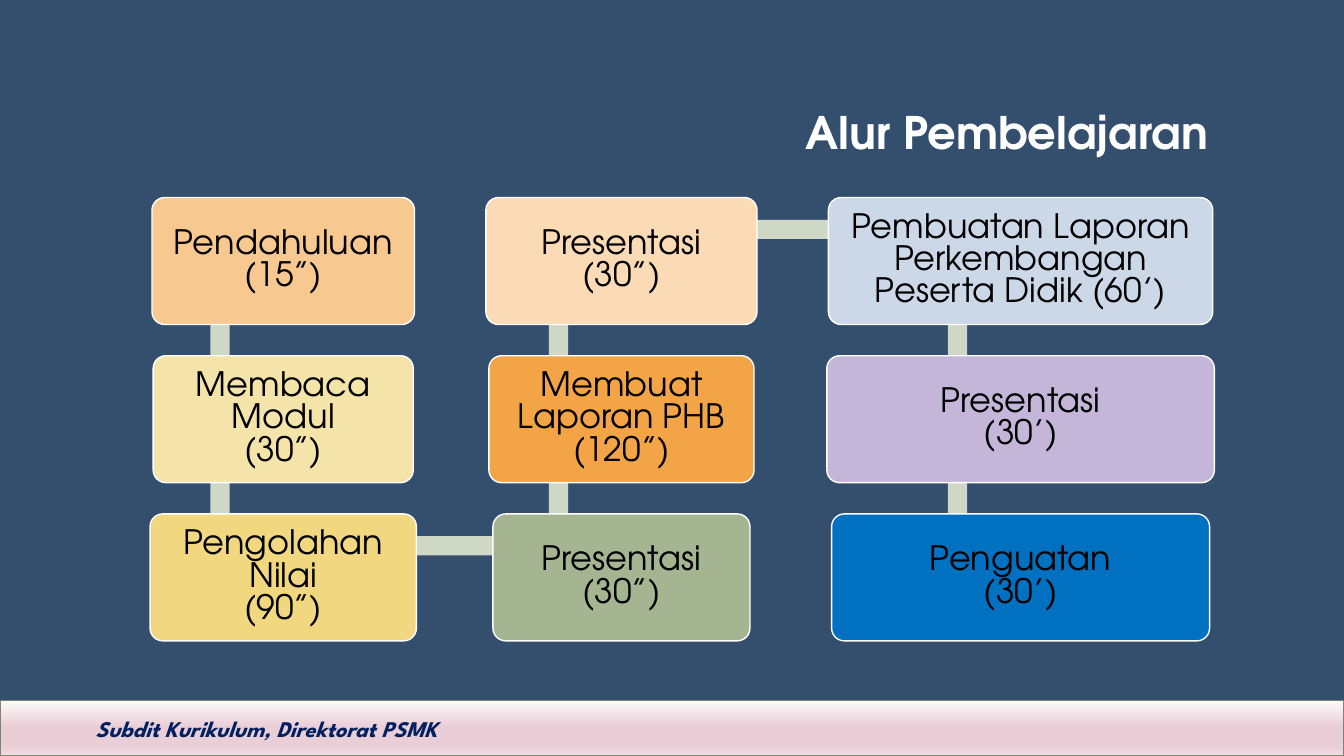
from copy import deepcopy

from pptx import Presentation
from pptx.dml.color import RGBColor
from pptx.enum import shapes, text
from pptx.util import Pt

BODY_FONT = "TeX Gyre Adventor"
ROW_TOP, ROW_PITCH, BOX_H = 141.1, 113, 90.7
LINK_W, LINK_INSET = 13.7, 22.7

# Per column: box centre, link centre, then (lines, fill, box width) downwards
COLUMNS = [
    (202.3, 157.2, [
        (["Pendahuluan", "(15”)"], "F8C891", 187.5),
        (["Membaca Modul", "(30”)"], "F5E4A9", 185.8),
        (["Pengolahan Nilai", "(90”)"], "F1D77F", 190.3),
    ]),
    (443.9, 399, [
        (["Presentasi", "(30”)"], "FADBB5", 193.7),
        (["Membuat Laporan PHB", "(120”)"], "F3A447", 189.4),
        (["Presentasi", "(30”)"], "A5B592", 183.6),
    ]),
    (729, 684, [
        (["Pembuatan Laporan Perkembangan Peserta Didik (60’)"], "CCD8E7", 274.5),
        (["Presentasi", "(30’)"], "C4B6D9", 276.8),
        (["Penguatan", "(30’)"], "0070C0", 270),
    ]),
]
FOOTER_STOPS = [(0, "FDFAFB"), (0.48, "EACED7"), (0.84, "EACED7"), (1, "F1DEE5")]


def rgb(code):
    return RGBColor.from_string(code)


def add_run(p, words, size, color, font=BODY_FONT, bold=False, italic=False):
    r = p.add_run()
    r.text = words
    r.font.name, r.font.size = font, Pt(size)
    r.font.bold, r.font.italic = bold, italic
    r.font.color.rgb = rgb(color)


def add_block(slide, kind, x, y, w, h, fill=None, line=None):
    sp = slide.shapes.add_shape(kind, Pt(x), Pt(y), Pt(w), Pt(h))
    sp.shadow.inherit = False
    if fill:
        sp.fill.solid()
        sp.fill.fore_color.rgb = rgb(fill)
    if line:
        sp.line.color.rgb = rgb(line)
        sp.line.width = Pt(1)
    else:
        sp.line.fill.background()
    return sp


def add_link(slide, x, y, w, h):
    add_block(slide, shapes.MSO_SHAPE.RECTANGLE, x, y, w, h, "CFD7C7")


def add_step(slide, center, top, width, lines, fill):
    sp = add_block(slide, shapes.MSO_SHAPE.ROUNDED_RECTANGLE,
                   center - width / 2, top, width, BOX_H, fill, "FFFFFF")
    sp.adjustments[0] = 0.1
    tf = sp.text_frame
    tf.word_wrap = True
    tf.vertical_anchor = text.MSO_ANCHOR.MIDDLE
    tf.margin_left = tf.margin_right = tf.margin_top = tf.margin_bottom = Pt(7.2)
    for i, words in enumerate(lines):
        p = tf.add_paragraph() if i else tf.paragraphs[0]
        p.alignment = text.PP_ALIGN.CENTER
        p.line_spacing = 0.8
        add_run(p, words, 24, "000000")


def add_flow(slide):
    """Draw the links first, so that the boxes cover their ends."""
    tops = [ROW_TOP + i * ROW_PITCH for i in range(3)]
    for _, link_x, _ in COLUMNS:
        for top in tops[:2]:
            add_link(slide, link_x - LINK_W / 2, top + LINK_INSET, LINK_W, ROW_PITCH)
    for left, right, top in zip(COLUMNS, COLUMNS[1:], (tops[2], tops[0])):
        add_link(slide, left[1], top + 15.9, right[1] - left[1], LINK_W)
    for center, _, steps in COLUMNS:
        for top, (lines, fill, width) in zip(tops, steps):
            add_step(slide, center, top, width, lines, fill)


def add_footer(slide):
    band = add_block(slide, shapes.MSO_SHAPE.RECTANGLE, 0, 500.4, 960, 39.6,
                     line="7A866C")
    band.fill.gradient()
    band.fill.gradient_angle = 270
    first = band._element.spPr.xpath(".//a:gs")[0]
    for _ in FOOTER_STOPS[2:]:
        first.addnext(deepcopy(first))
    for stop, (position, color) in zip(band.fill.gradient_stops, FOOTER_STOPS):
        stop.position = position
        stop.color.rgb = rgb(color)

    label = slide.shapes.add_textbox(Pt(61.2), Pt(507.6), Pt(275.8), Pt(26.6))
    label.text_frame.word_wrap = False
    add_run(label.text_frame.paragraphs[0], "Subdit Kurikulum, Direktorat PSMK",
            16, "002060", "League Spartan", bold=True, italic=True)


def set_title(slide, words):
    title = slide.shapes.title
    title.left, title.top = Pt(566.6), Pt(71.3)
    title.width, title.height = Pt(303.8), Pt(46.1)
    tf = title.text_frame
    tf.word_wrap = False
    tf.auto_size = text.MSO_AUTO_SIZE.NONE
    tf.vertical_anchor = text.MSO_ANCHOR.TOP
    p = tf.paragraphs[0]
    p.alignment = text.PP_ALIGN.RIGHT
    add_run(p, words, 32, "FFFFFF", bold=True)


def main():
    prs = Presentation()
    prs.slide_width, prs.slide_height = Pt(960), Pt(540)
    slide = prs.slides.add_slide(prs.slide_layouts[5])
    slide.background.fill.solid()
    slide.background.fill.fore_color.rgb = rgb("344E6D")
    set_title(slide, "Alur Pembelajaran")
    add_footer(slide)
    add_flow(slide)
    prs.save("out.pptx")


if __name__ == "__main__":
    main()
